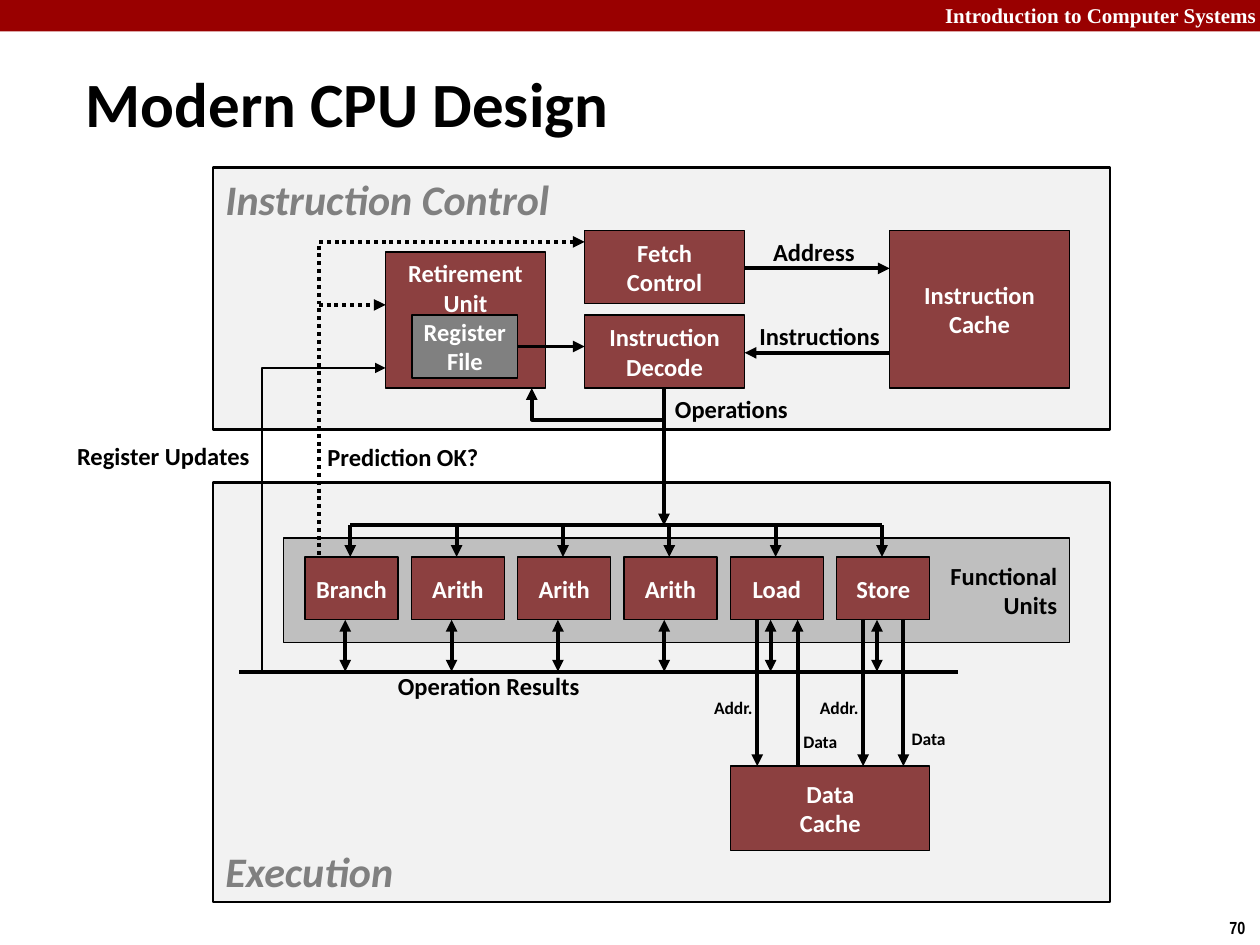
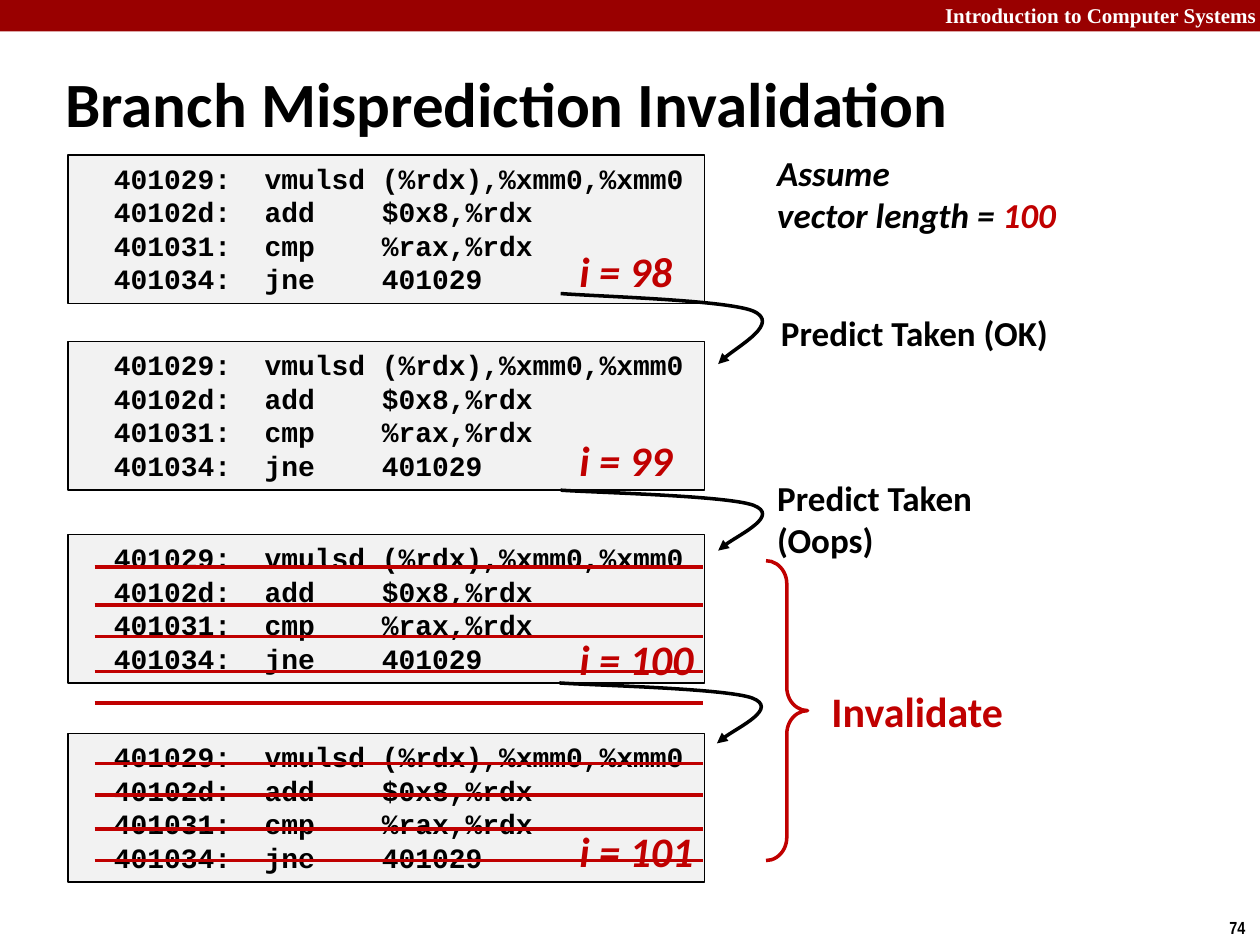
"""Build two slides on modern CPU design and branch misprediction."""
from lxml import etree
from pptx import Presentation
from pptx.dml.color import RGBColor
from pptx.enum import dml, shapes, text
from pptx.oxml.ns import qn
from pptx.util import Inches, Pt

COLORS = {
    "band": "990000", "white": "FFFFFF", "black": "000000", "panel": "F2F2F2",
    "silver": "BFBFBF", "gray": "808080", "unit": "8C4040", "red": "C00000",
}
LEFT, CENTER, RIGHT = text.PP_ALIGN.LEFT, text.PP_ALIGN.CENTER, text.PP_ALIGN.RIGHT
TOP, MIDDLE, BOTTOM = text.MSO_ANCHOR.TOP, text.MSO_ANCHOR.MIDDLE, text.MSO_ANCHOR.BOTTOM


def add_box(page, at, words, fill=None, line=0.75, size=14, color="black", font="Calibri",
            italic=False, align=LEFT, anchor=TOP, spacing=None, wrap=False):
    place = [Inches(value) for value in at]
    if fill:
        box = page.shapes.add_shape(shapes.MSO_SHAPE.RECTANGLE, *place)
        box.shadow.inherit = False
        box.fill.solid()
        box.fill.fore_color.rgb = RGBColor.from_string(COLORS[fill])
        if line:
            box.line.width = Pt(line)
            box.line.color.rgb = RGBColor.from_string(COLORS["black"])
        else:
            box.line.fill.background()
    else:
        box = page.shapes.add_textbox(*place)
    frame = box.text_frame
    frame.word_wrap = wrap
    frame.vertical_anchor = anchor
    frame.text = words
    for para in frame.paragraphs:
        para.alignment = align
        para.line_spacing = spacing
        para.font.name = font
        para.font.size = Pt(size)
        para.font.bold = True
        para.font.italic = italic
        para.font.color.rgb = RGBColor.from_string(COLORS[color])
    return box


def add_stroke(page, points, ends="", width=2.25, color="black", dotted=False, curved=False):
    points = [(Inches(x), Inches(y)) for x, y in points]
    if len(points) == 2:
        stroke = page.shapes.add_connector(
            shapes.MSO_CONNECTOR.STRAIGHT, *points[0], *points[1])
    else:
        builder = page.shapes.build_freeform(*points[0])
        builder.add_line_segments(points[1:], close=False)
        stroke = builder.convert_to_shape()
        stroke.fill.background()
    stroke.line.width = Pt(width)
    stroke.line.color.rgb = RGBColor.from_string(COLORS[color])
    if dotted:
        stroke.line.dash_style = dml.MSO_LINE.ROUND_DOT
    properties = stroke.element.spPr
    for end in ends.split():
        etree.SubElement(properties.find(qn("a:ln")), qn(f"a:{end}End"), type="triangle")
    etree.SubElement(properties, qn("a:effectLst"))
    if curved:
        outline = properties.find(".//" + qn("a:path"))
        segments = outline.findall(qn("a:lnTo"))
        for first in range(0, len(segments), 3):
            curve = etree.SubElement(outline, qn("a:cubicBezTo"))
            for segment in segments[first:first + 3]:
                curve.append(segment[0])
                outline.remove(segment)
    return stroke


deck = Presentation()
deck.slide_width, deck.slide_height = Inches(10), Inches(7.5)

pages = []
for title, number, left, width in [
    ("Modern CPU Design", "70", 0.58, 6.41),
    ("Branch Misprediction Invalidation", "74", 0.42, 8.69),
]:
    page = deck.slides.add_slide(deck.slide_layouts[5])
    add_box(page, (0, 0, 10, 0.25), "", fill="band", line=0)
    add_box(page, (6, -0.03, 4.07, 0.3), "Introduction to Computer Systems", size=12,
            color="white", font="Times New Roman", align=RIGHT, wrap=True)
    add_box(page, (9.66, 7.23, 0.34, 0.27), number, size=10, font="Arial Narrow")
    heading = page.shapes.title
    heading.left, heading.top = Inches(left), Inches(0.5)
    heading.width, heading.height = Inches(width), Inches(0.63)
    frame = heading.text_frame
    frame.text = title
    frame.auto_size = text.MSO_AUTO_SIZE.NONE
    frame.vertical_anchor = MIDDLE
    para = frame.paragraphs[0]
    para.alignment = LEFT
    para.font.name = "Calibri"
    para.font.size = Pt(36)
    para.font.bold = True
    para.font.color.rgb = RGBColor.from_string(COLORS["black"])
    pages.append(page)
design, invalidation = pages

for name, top, height, anchor in [
    ("Execution", 3.83, 3.33, BOTTOM), ("Instruction Control", 1.33, 2.08, TOP),
]:
    add_box(design, (1.69, top, 7.12, height), name, fill="panel", line=1.5, size=24,
            color="gray", italic=True, anchor=anchor)
add_box(design, (2.25, 4.27, 6.24, 0.83), "Functional\nUnits", fill="silver",
        align=RIGHT, anchor=MIDDLE)

for name, at, fill, anchor in [
    ("Instruction\nCache", (7.06, 1.83, 1.43, 1.25), "unit", MIDDLE),
    ("Data\nCache", (5.8, 6.08, 1.58, 0.67), "unit", MIDDLE),
    ("Fetch\nControl", (4.64, 1.83, 1.27, 0.58), "unit", MIDDLE),
    ("Instruction\nDecode", (4.64, 2.5, 1.27, 0.58), "unit", MIDDLE),
    ("Retirement\nUnit", (3.06, 2, 1.27, 1.08), "unit", TOP),
    ("Register\nFile", (3.27, 2.5, 0.84, 0.5), "gray", MIDDLE),
]:
    add_box(design, at, name, fill=fill, color="white", align=CENTER, anchor=anchor)

unit_pitch = (6.64 - 2.42) / 5
for index, name in enumerate(["Branch", "Arith", "Arith", "Arith", "Load", "Store"]):
    shift = index * unit_pitch
    add_box(design, (2.42 + shift, 4.42, 0.74, 0.5), name, fill="unit", color="white",
            align=CENTER, anchor=MIDDLE)
    add_stroke(design, [(2.78 + shift, 4.17), (2.78 + shift, 4.42)], "tail")
    add_stroke(design, [(2.74 + shift, 4.92), (2.74 + shift, 5.33)], "head tail")

for points, ends in [
    ([(5.91, 2.13), (7.06, 2.13)], "tail"),
    ([(7.06, 2.8), (5.91, 2.8)], "tail"),
    ([(5.27, 3.08), (5.27, 4.17)], "tail"),
    ([(4.11, 2.75), (4.64, 2.75)], "tail"),
    ([(5.27, 3.33), (4.22, 3.33), (4.22, 3.08)], "tail"),
    ([(2.78, 4.17), (7, 4.17)], ""),
    ([(1.9, 5.33), (7.6, 5.33)], ""),
    ([(6.01, 4.92), (6.01, 6.08)], "tail"),
    ([(6.33, 6.08), (6.33, 4.92)], "tail"),
    ([(6.85, 4.92), (6.85, 6.08)], "tail"),
    ([(7.17, 4.92), (7.17, 6.08)], "tail"),
]:
    add_stroke(design, points, ends)
add_stroke(design, [(4.64, 1.92), (2.53, 1.92), (2.53, 4.42)], "head", dotted=True)
add_stroke(design, [(2.53, 2.42), (3.06, 2.42)], "tail", dotted=True)
add_stroke(design, [(3.06, 2.92), (2.08, 2.92), (2.08, 5.33)], "head", width=1.5)

for label, left, top, width, align in [
    ("Address", 6.03, 1.83, 0.86, CENTER),
    ("Instructions", 5.92, 2.5, 1.17, CENTER),
    ("Operations", 5.25, 3.08, 1.11, CENTER),
    ("Prediction OK?", 2.5, 3.46, 1.41, LEFT),
    ("Register Updates", 0.5, 3.45, 1.58, RIGHT),
    ("Operation Results", 3.06, 5.28, 1.66, LEFT),
]:
    add_box(design, (left, top, width, 0.34), label, align=align)
for label, left, top, width in [
    ("Data", 7.13, 5.73, 0.48), ("Data", 6.27, 5.75, 0.48),
    ("Addr.", 5.56, 5.48, 0.52), ("Addr.", 6.4, 5.48, 0.52),
]:
    add_box(design, (left, top, width, 0.27), label, size=10, align=CENTER)

LOOP_CODE = """  401029:  vmulsd (%rdx),%xmm0,%xmm0
  40102d:  add    $0x8,%rdx
  401031:  cmp    %rax,%rdx
  401034:  jne    401029"""
for top, count, count_top, count_width in [
    (1.23, 98, 1.9, 0.94), (2.71, 99, 3.4, 0.94),
    (4.24, 100, 4.98, 1.11), (5.82, 101, 6.5, 1.11),
]:
    add_box(invalidation, (0.54, top, 5.05, 1.18), LOOP_CODE, fill="panel", size=16,
            font="Courier New", spacing=Pt(19.2))
    add_box(invalidation, (4.5, count_top, count_width, 0.5), f"i = {count}", size=24,
            color="red", italic=True)

JUMP_CURVE = [(0, 0), (0.26, 0.04), (1.32, 0.09), (1.53, 0.25),
              (1.74, 0.42), (1.31, 0.85), (1.25, 1)]
for left, top, drop in [(4.45, 2.33, 0.56), (4.45, 3.89, 0.48), (4.44, 5.42, 0.48)]:
    add_stroke(invalidation, [(left + x, top + drop * y) for x, y in JUMP_CURVE], "tail",
               width=2, curved=True)

add_box(invalidation, (6.1, 2.42, 2.34, 0.44), "Predict Taken (OK)", size=20)
add_box(invalidation, (6.07, 3.73, 1.76, 0.77), "Predict Taken\n(Oops)", size=20)
add_box(invalidation, (6.5, 5.39, 1.58, 0.5), "Invalidate", size=24, color="red")
assumption = add_box(invalidation, (6.07, 1.15, 2.43, 0.77), "Assume\nvector length = ",
                     size=20, italic=True)
span = assumption.text_frame.paragraphs[1].add_run()
span.text = "100"
span.font.color.rgb = RGBColor.from_string(COLORS["red"])

for y in [4.5, 4.8, 5.05, 5.33, 5.58, 6.06, 6.31, 6.58, 6.83]:
    add_stroke(invalidation, [(0.75, y), (5.58, y)], width=2, color="red")
brace = invalidation.shapes.add_shape(
    shapes.MSO_SHAPE.RIGHT_BRACE, Inches(6.08), Inches(4.45), Inches(0.33), Inches(2.38))
brace.adjustments[0] = 0.56
brace.shadow.inherit = False
brace.fill.background()
brace.line.width = Pt(2)
brace.line.color.rgb = RGBColor.from_string(COLORS["red"])

deck.save("out.pptx")
